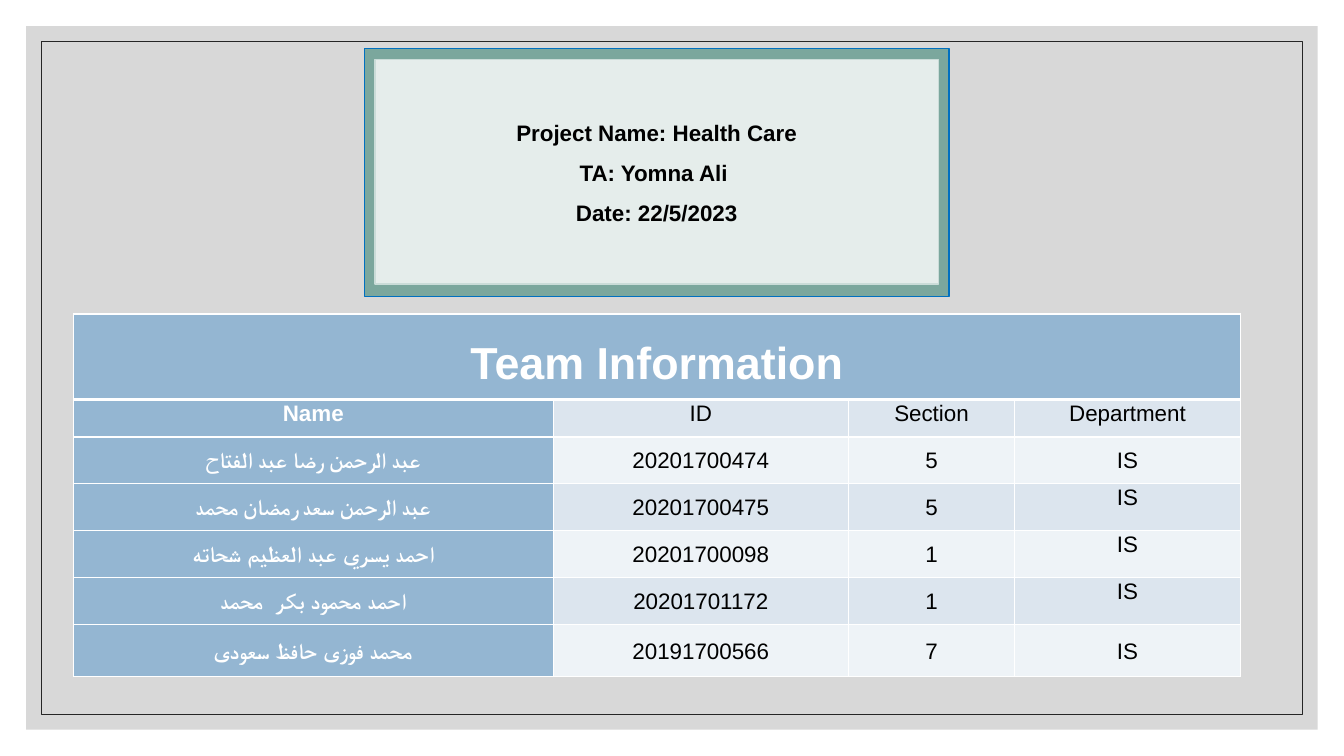
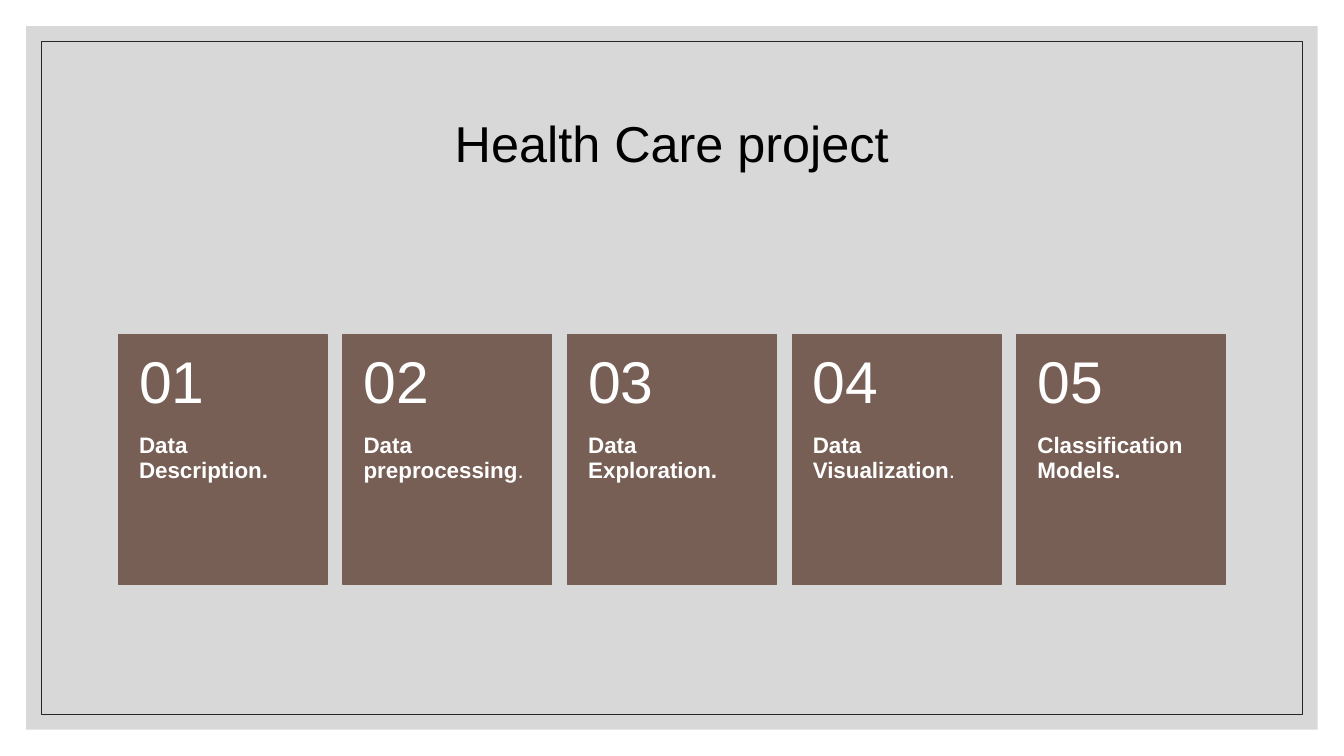
from lxml import etree
from pptx import Presentation
from pptx import util as u
from pptx.dml.color import RGBColor
from pptx.enum import shapes, text
from pptx.oxml.ns import qn

COLORS = {
    "white": "FFFFFF", "black": "000000", "panel": "BFBFBF", "frame": "262626",
    "green": "7BA79D", "mint": "E5EDEB", "mint_line": "CADCD8", "blue_line": "0070C0",
    "header": "94B6D2", "band_dark": "DCE5EE", "band_light": "EEF3F7", "brown": "775F55",
}
FONT = "Arial"
WIDTH, HEIGHT = 33.87, 19.05

PROJECT = ["Project Name: Health Care", "TA: Yomna Ali ", "Date: 22/5/2023"]
TABLE_TITLE = "Team Information"
HEADINGS = ["Name", "ID", "Section", "Department"]
TEAM = [
    ([("عبد الرحمن رضا عبد الفتاح", "Roboto")], "20201700474", "5", "IS"),
    ([("عبد الرحمن ", "Calibri"), ("سعد", "Karla"), (" رمضان محمد", "Calibri")],
     "20201700475", "5", "IS"),
    ([("احمد يسري عبد العظيم شحاته", FONT)], "20201700098", "1", "IS"),
    ([("احمد محمود بكر  محمد", FONT)], "20201701172", "1", "IS"),
    ([("محمد فوزى حافظ سعودى", FONT)], "20191700566", "7", "IS"),
]
COL_WIDTHS = [12.09, 7.44, 4.19, 5.69]
ROW_HEIGHTS = [2.16, 0.94] + [1.18] * 4 + [1.32]
TOP_ANCHORED = {(3, 3), (4, 3), (5, 3)}

TOPICS_TITLE = "Health Care project"
TOPICS = [
    ("Data Description.", ""), ("Data preprocessing", "."), ("Data Exploration.", ""),
    ("Data Visualization", "."), ("Classification Models.", ""),
]

TOP, MIDDLE = text.MSO_ANCHOR.TOP, text.MSO_ANCHOR.MIDDLE
CENTER, LEFT = text.PP_ALIGN.CENTER, text.PP_ALIGN.LEFT


def rgb(name):
    return RGBColor.from_string(COLORS[name])


def place(sp, *at):
    sp.left, sp.top, sp.width, sp.height = (u.Cm(v) for v in at)


def set_margins(obj, *margins):
    (obj.margin_left, obj.margin_top,
     obj.margin_right, obj.margin_bottom) = (u.Cm(v) for v in margins)


def style_run(r, size, color, bold=False, font=FONT):
    r.font.size, r.font.bold, r.font.name = u.Pt(size), bold, font
    r.font.color.rgb = rgb(color)


def style_paragraph(p, size, color, bold=False, align=CENTER, spacing=1.07):
    p.alignment, p.line_spacing = align, spacing
    for r in p.runs:
        style_run(r, size, color, bold)


def add_rect(parent, at, fill=None, line=None, weight=1):
    sp = parent.add_shape(shapes.MSO_SHAPE.RECTANGLE, *(u.Cm(v) for v in at))
    sp.shadow.inherit = False
    if fill:
        sp.fill.solid()
        sp.fill.fore_color.rgb = rgb(fill)
    else:
        sp.fill.background()
    if line:
        sp.line.color.rgb = rgb(line)
        sp.line.width = u.Pt(weight)
    else:
        sp.line.fill.background()
    return sp


def add_text(parent, at, value, margins, anchor, size, bold=False):
    tf = parent.add_textbox(*(u.Cm(v) for v in at)).text_frame
    tf.word_wrap, tf.vertical_anchor = True, anchor
    set_margins(tf, *margins)
    p = tf.paragraphs[0]
    p.text = value
    style_paragraph(p, size, "white", bold, LEFT, 0.9)
    return p


def add_master_frame(prs, slide):
    def inset(margin):
        return margin, margin, WIDTH - 2 * margin, HEIGHT - 2 * margin

    panel = add_rect(slide.shapes, inset(0.66), fill="panel")
    color = panel.fill._xPr.find(f".//{qn('a:srgbClr')}")
    etree.SubElement(color, qn("a:alpha"), val="60000")
    border = add_rect(slide.shapes, inset(1.04), line="frame", weight=0.5)
    tree = prs.slide_master.shapes.element
    for i, sp in enumerate([panel, border]):
        sp.element.nvSpPr.cNvPr.set("id", str(101 + i))
        tree.insert(2 + i, sp.element)


def set_borders(cell, top=1, bottom=1):
    tc_pr = cell._tc.get_or_add_tcPr()
    for side, weight in (("L", 1), ("R", 1), ("T", top), ("B", bottom)):
        ln = etree.SubElement(tc_pr, qn(f"a:ln{side}"), w=str(u.Pt(weight)))
        fill = etree.SubElement(ln, qn("a:solidFill"))
        etree.SubElement(fill, qn("a:srgbClr"), val=COLORS["white"])


def write_name(p, parts):
    for value, font in parts:
        r = p.add_run()
        r.text = value
        style_run(r, 16, "white", True, font)
        etree.SubElement(r.font._element, qn("a:cs"), typeface=font)
    p.alignment, p.line_spacing = CENTER, 1.07
    p._p.get_or_add_pPr().set("rtl", "1")


def build_team(slide):
    add_rect(slide.shapes, (9.19, 1.22, 14.73, 6.25), "green", "blue_line")
    tf = add_rect(slide.shapes, (9.45, 1.5, 14.2, 5.66), "mint", "mint_line").text_frame
    tf.text = "\n".join(PROJECT)
    tf.word_wrap, tf.vertical_anchor = True, MIDDLE
    for p in tf.paragraphs:
        style_paragraph(p, 16, "black", True)
        p.space_after = u.Pt(8)

    rows = [[TABLE_TITLE, "", "", ""], HEADINGS, *TEAM]
    table = slide.shapes.add_table(
        len(rows), len(COL_WIDTHS), u.Cm(1.85), u.Cm(7.91),
        u.Cm(sum(COL_WIDTHS)), u.Cm(sum(ROW_HEIGHTS))).table
    table.horz_banding = table.first_row = False
    for col, width in zip(table.columns, COL_WIDTHS):
        col.width = u.Cm(width)
    for row, height in zip(table.rows, ROW_HEIGHTS):
        row.height = u.Cm(height)
    table.cell(0, 0).merge(table.cell(0, len(COL_WIDTHS) - 1))

    for i, row in enumerate(rows):
        for j, value in enumerate(row):
            cell = table.cell(i, j)
            is_header = i == 0 or j == 0
            set_borders(cell, 3 if i == 1 else 1, 3 if i == 0 else 1)
            cell.fill.solid()
            band = "band_dark" if i % 2 else "band_light"
            cell.fill.fore_color.rgb = rgb("header" if is_header else band)
            set_margins(cell, 0.18, 0, 0.18, 0)
            cell.vertical_anchor = TOP if i < 2 or (i, j) in TOP_ANCHORED else MIDDLE
            p = cell.text_frame.paragraphs[0]
            if isinstance(value, list):
                write_name(p, value)
            else:
                p.text = value
                style_paragraph(p, 16 if i else 32, "white" if is_header else "black",
                                is_header, spacing=1.07 if i else 1.5)


def build_topics(slide):
    title = slide.shapes.title
    place(title, 2.96, 1.78, 27.94, 3.81)
    title.text_frame.text = TOPICS_TITLE
    title.text_frame.vertical_anchor = MIDDLE
    style_paragraph(title.text_frame.paragraphs[0], 36, "black", spacing=0.9)

    top, width, gap, number_h, label_h = 8.43, 5.26, 0.4, 2.52, 3.78
    left = (WIDTH - len(TOPICS) * width - (len(TOPICS) - 1) * gap) / 2
    for i, (label, ending) in enumerate(TOPICS):
        x = left + i * (width + gap)
        card = slide.shapes.add_group_shape().shapes
        add_rect(card, (x, top, width, number_h + label_h), "brown", "brown")
        p = add_text(card, (x, top + number_h, width, label_h), label,
                     (0.52, 0, 0.52, 0.91), TOP, 16, True)
        if ending:
            r = p.add_run()
            r.text = ending
            style_run(r, 16, "white")
        add_text(card, (x, top, width, number_h), f"{i + 1:02}",
                 (0.52, 0.46, 0.52, 0.46), MIDDLE, 42)


def main():
    prs = Presentation()
    prs.slide_width, prs.slide_height = u.Cm(WIDTH), u.Cm(HEIGHT)
    team = prs.slides.add_slide(prs.slide_layouts[6])
    add_master_frame(prs, team)
    build_team(team)
    build_topics(prs.slides.add_slide(prs.slide_layouts[5]))
    prs.save("out.pptx")


if __name__ == "__main__":
    main()
